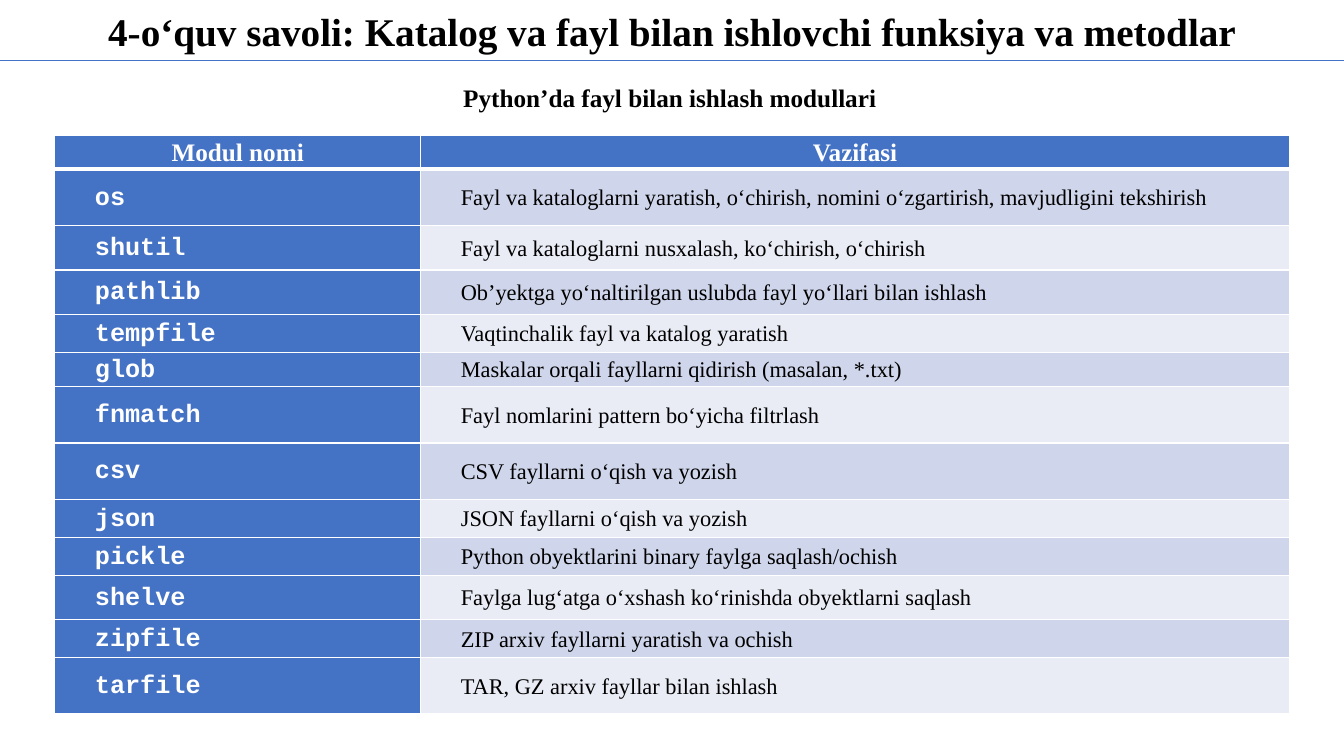
from lxml import etree
from pptx import Presentation
from pptx import util as u
from pptx.dml.color import RGBColor
from pptx.enum import shapes, text
from pptx.oxml.ns import qn

TITLE = "4-o‘quv savoli: Katalog va fayl bilan ishlovchi funksiya va metodlar"
SUBTITLE = "Python’da fayl bilan ishlash modullari"
HEADER = ("Modul nomi", "Vazifasi")
HEADER_HEIGHT = 24.2
# module, purpose, row height
MODULES = [
    ("os", "Fayl va kataloglarni yaratish, o‘chirish, nomini o‘zgartirish, mavjudligini tekshirish", 40.3),
    ("shutil", "Fayl va kataloglarni nusxalash, ko‘chirish, o‘chirish", 31.7),
    ("pathlib", "Ob’yektga yo‘naltirilgan uslubda fayl yo‘llari bilan ishlash", 31.7),
    ("tempfile", "Vaqtinchalik fayl va katalog yaratish", 27.1),
    ("glob", "Maskalar orqali fayllarni qidirish (masalan, *.txt)", 24.2),
    ("fnmatch", "Fayl nomlarini pattern bo‘yicha filtrlash", 40.3),
    ("csv", "CSV fayllarni o‘qish va yozish", 40.3),
    ("json", "JSON fayllarni o‘qish va yozish", 27.1),
    ("pickle", "Python obyektlarini binary faylga saqlash/ochish", 27.1),
    ("shelve", "Faylga lug‘atga o‘xshash ko‘rinishda obyektlarni saqlash", 31.7),
    ("zipfile", "ZIP arxiv fayllarni yaratish va ochish", 27.1),
    ("tarfile", "TAR, GZ arxiv fayllar bilan ishlash", 40.3),
]
COLUMN_WIDTHS = (261.4, 620.6)
COLORS = {"blue": "4472C4", "band_dark": "CFD5EA", "band_light": "E9EBF5",
          "white": "FFFFFF", "black": "000000"}
SLIDE_WIDTH, SLIDE_HEIGHT = 960, 540
SERIF, MONO = "Times New Roman", "Courier New"
CENTER, LEFT = text.PP_ALIGN.CENTER, text.PP_ALIGN.LEFT


def color(name):
    return RGBColor.from_string(COLORS[name])


def write(frame, words, size=18, font=SERIF, ink="black", bold=True,
          align=LEFT, indent=0, line_spacing=1.0):
    paragraph = frame.paragraphs[0]
    paragraph.alignment = align
    paragraph.line_spacing = line_spacing
    if indent:
        paragraph._p.get_or_add_pPr().set("marL", str(u.Pt(indent)))
    run = paragraph.add_run()
    run.text = words
    run.font.size, run.font.name, run.font.bold = u.Pt(size), font, bold
    run.font.color.rgb = color(ink)


def add_text(slide, words, left, top, width, height, wrap=True, **style):
    box = slide.shapes.add_textbox(u.Pt(left), u.Pt(top), u.Pt(width), u.Pt(height))
    box.text_frame.word_wrap = wrap
    box.text_frame.vertical_anchor = text.MSO_ANCHOR.MIDDLE
    write(box.text_frame, words, **style)


def set_borders(cell, top, bottom):
    """Draw white borders; side borders are 1 pt wide."""
    properties = cell._tc.get_or_add_tcPr()
    sides = (("a:lnL", 1), ("a:lnR", 1), ("a:lnT", top), ("a:lnB", bottom))
    for index, (tag, width) in enumerate(sides):
        line = etree.Element(qn(tag), w=str(u.Pt(width)))
        fill = etree.SubElement(line, qn("a:solidFill"))
        etree.SubElement(fill, qn("a:srgbClr"), val=COLORS["white"])
        properties.insert(index, line)


def fill_cell(cell, words, fill, top=1, bottom=1, **style):
    cell.margin_left = cell.margin_right = u.Pt(0.7)
    cell.margin_top = cell.margin_bottom = u.Pt(0.7)
    cell.vertical_anchor = text.MSO_ANCHOR.MIDDLE
    cell.fill.solid()
    cell.fill.fore_color.rgb = color(fill)
    set_borders(cell, top, bottom)
    write(cell.text_frame, words, line_spacing=1.07, **style)


def add_module_table(slide, left, top):
    heights = [HEADER_HEIGHT] + [height for _, _, height in MODULES]
    table = slide.shapes.add_table(
        len(heights), len(COLUMN_WIDTHS), u.Pt(left), u.Pt(top),
        u.Pt(sum(COLUMN_WIDTHS)), u.Pt(sum(heights))).table
    table.first_col = True
    for column, width in zip(table.columns, COLUMN_WIDTHS):
        column.width = u.Pt(width)
    for row, height in zip(table.rows, heights):
        row.height = u.Pt(height)
    for column, words in enumerate(HEADER):
        fill_cell(table.cell(0, column), words, "blue", bottom=3,
                  ink="white", align=CENTER)
    for row, (module, purpose, _) in enumerate(MODULES, start=1):
        top_border = 3 if row == 1 else 1
        band = "band_dark" if row % 2 else "band_light"
        fill_cell(table.cell(row, 0), module, "blue", top=top_border,
                  font=MONO, ink="white", indent=28)
        fill_cell(table.cell(row, 1), purpose, band, top=top_border,
                  size=16, bold=False, indent=28)


def add_rule(slide, y):
    rule = slide.shapes.add_connector(
        shapes.MSO_CONNECTOR.STRAIGHT, 0, u.Pt(y), u.Pt(SLIDE_WIDTH), u.Pt(y))
    rule.line.color.rgb = color("blue")
    rule.line.width = u.Pt(0.5)
    etree.SubElement(rule._element.spPr, qn("a:effectLst"))


def main():
    presentation = Presentation()
    presentation.slide_width = u.Pt(SLIDE_WIDTH)
    presentation.slide_height = u.Pt(SLIDE_HEIGHT)
    slide = presentation.slides.add_slide(presentation.slide_layouts[6])
    add_text(slide, TITLE, 0, 1.6, SLIDE_WIDTH, 41.2, size=28, align=CENTER)
    add_rule(slide, 43.2)
    add_text(slide, SUBTITLE, 323.8, 55, 312.4, 29, wrap=False)
    add_module_table(slide, 39.1, 96.4)
    presentation.save("out.pptx")


if __name__ == "__main__":
    main()
